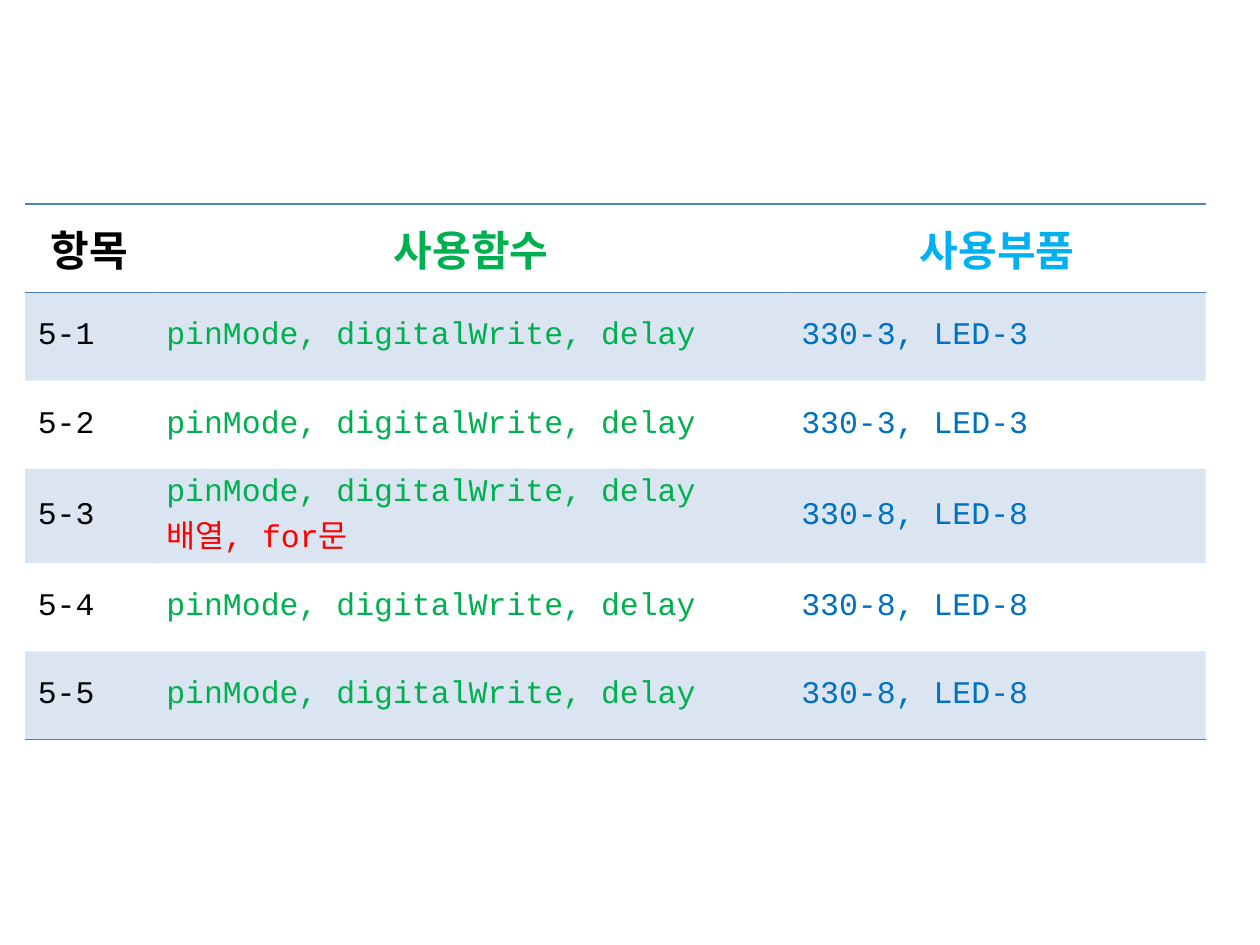
from dataclasses import dataclass

from lxml.etree import SubElement
from pptx import Presentation
from pptx.dml.color import RGBColor
from pptx.enum.text import MSO_ANCHOR, PP_ALIGN
from pptx.oxml.ns import qn
from pptx.table import _Cell as Cell
from pptx.util import Inches, Pt

BLACK = RGBColor(0x00, 0x00, 0x00)
GREEN = RGBColor(0x00, 0xB0, 0x50)
SKY = RGBColor(0x00, 0xB0, 0xF0)
BLUE = RGBColor(0x00, 0x70, 0xC0)
RED = RGBColor(0xFF, 0x00, 0x00)
ACCENT = RGBColor(0x4F, 0x81, 0xBD)

HANGUL_FONT = "Noto Sans CJK KR"
CODE_FONT = "Courier New"
PLAIN_TABLE_STYLE = "{2D5ABB26-0587-4C30-8999-92F81FD0307C}"
FUNCTIONS = "pinMode, digitalWrite, delay"
ROW_HEIGHT = 0.7


@dataclass(frozen=True)
class Line:
    text: str
    color: RGBColor


@dataclass(frozen=True)
class Column:
    heading: Line
    width: float


@dataclass(frozen=True)
class Lesson:
    number: str
    components: str
    extra: tuple[Line, ...] = ()

    def cells(self) -> list[list[Line]]:
        return [
            [Line(self.number, BLACK)],
            [Line(FUNCTIONS, GREEN), *self.extra],
            [Line(self.components, BLUE)],
        ]


COLUMNS = [
    Column(Line("항목", BLACK), 1.02),
    Column(Line("사용함수", GREEN), 5.04),
    Column(Line("사용부품", SKY), 3.31),
]
LESSONS = [
    Lesson("5-1", "330-3, LED-3"),
    Lesson("5-2", "330-3, LED-3"),
    Lesson("5-3", "330-8, LED-8", (Line("배열, for문", RED),)),
    Lesson("5-4", "330-8, LED-8"),
    Lesson("5-5", "330-8, LED-8"),
]


def write_cell(cell: Cell, lines: list[Line], is_header: bool) -> None:
    cell.vertical_anchor = MSO_ANCHOR.MIDDLE
    for index, line in enumerate(lines):
        frame = cell.text_frame
        para = frame.add_paragraph() if index else frame.paragraphs[0]
        para.alignment = PP_ALIGN.CENTER if is_header else PP_ALIGN.LEFT
        span = para.add_run()
        span.text = line.text
        span.font.size = Pt(24 if is_header else 18)
        span.font.bold = is_header
        span.font.name = HANGUL_FONT if is_header else CODE_FONT
        span.font.color.rgb = line.color
        SubElement(span._r.get_or_add_rPr(), qn("a:ea"), typeface=HANGUL_FONT)


def add_border(cell: Cell, side: str) -> None:
    properties = cell._tc.get_or_add_tcPr()
    border = SubElement(properties, qn(f"a:{side}"), w=str(Pt(1)))
    fill = SubElement(border, qn("a:solidFill"))
    SubElement(fill, qn("a:srgbClr"), val=str(ACCENT))


def shade_cell(cell: Cell) -> None:
    cell.fill.solid()
    cell.fill.fore_color.rgb = ACCENT
    color = cell._tc.tcPr.find(f"{qn('a:solidFill')}/{qn('a:srgbClr')}")
    SubElement(color, qn("a:alpha"), val="20000")


def main() -> None:
    deck = Presentation()
    deck.slide_width, deck.slide_height = Inches(10), Inches(7.5)
    page = deck.slides.add_slide(deck.slide_layouts[6])

    rows = [[[column.heading] for column in COLUMNS]]
    rows += [lesson.cells() for lesson in LESSONS]
    last = len(rows) - 1
    frame = page.shapes.add_table(
        len(rows), len(COLUMNS), Inches(0.2), Inches(1.62),
        Inches(sum(column.width for column in COLUMNS)),
        Inches(ROW_HEIGHT * len(rows)),
    )
    table = frame.table
    table.horz_banding = False
    table._tbl.tblPr.find(qn("a:tableStyleId")).text = PLAIN_TABLE_STYLE

    for index, column in enumerate(COLUMNS):
        table.columns[index].width = Inches(column.width)
    for row_index, row in enumerate(rows):
        table.rows[row_index].height = Inches(ROW_HEIGHT)
        for column_index, lines in enumerate(row):
            cell = table.cell(row_index, column_index)
            write_cell(cell, lines, row_index == 0)
            if row_index == 0:
                add_border(cell, "lnT")
            if row_index in (0, last):
                add_border(cell, "lnB")
            if row_index % 2:
                shade_cell(cell)
            else:
                cell.fill.background()

    deck.save("out.pptx")


if __name__ == "__main__":
    main()
